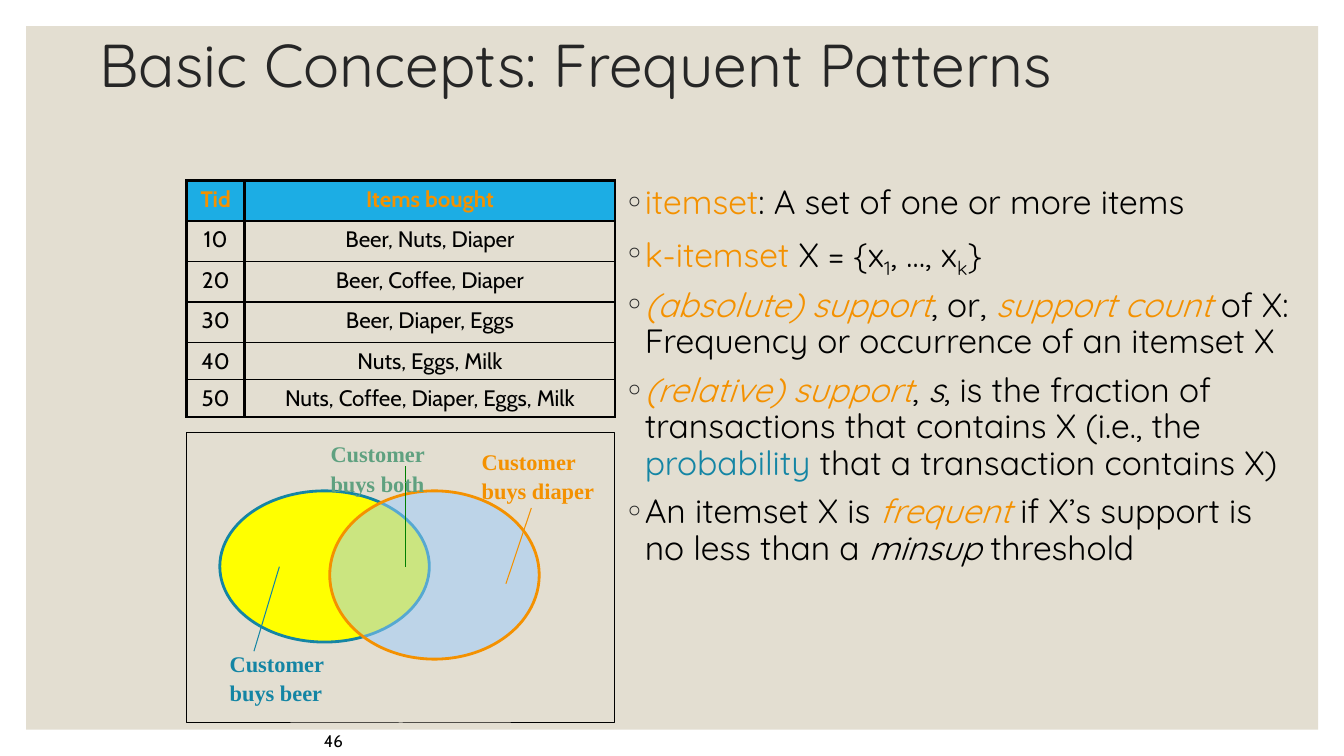
import pptx
import pptx.dml.color
import pptx.enum.shapes
import pptx.enum.text
import pptx.oxml
import pptx.oxml.ns
import pptx.util
from pptx.util import Cm

ALIGN = pptx.enum.text.PP_ALIGN
ANCHOR = pptx.enum.text.MSO_ANCHOR
SHAPE = pptx.enum.shapes.MSO_SHAPE
STRAIGHT = pptx.enum.shapes.MSO_CONNECTOR.STRAIGHT
BLACK, ORANGE, TEAL = "000000", "F49100", "1485A4"

KEY = {"color": ORANGE}
KEY_ITALIC = {"color": ORANGE, "italic": True}
ITALIC = {"italic": True}
SUB = {"baseline": -25000}
DEFINITIONS = [
    [("itemset", KEY), (": A set of one or more items", {})],
    [("k-itemset", KEY), (" X = {x", {}), ("1", SUB), (", …, x", {}),
     ("k", SUB), ("}", {})],
    [("(absolute) support", KEY_ITALIC), (", or, ", {}),
     ("support count", KEY_ITALIC),
     (" of X: Frequency or occurrence of an itemset X", {})],
    [("(relative) support", KEY_ITALIC), (", ", {}), ("s", ITALIC),
     (", is the fraction of transactions that contains X (i.e., the ", {}),
     ("probability", {"color": TEAL}),
     (" that a transaction contains X)", {})],
    [("An itemset X is ", {}), ("frequent", KEY_ITALIC),
     (" if X’s support is no less than a ", {}), ("minsup", ITALIC),
     (" threshold", {})],
]
TRANSACTIONS = [
    ("Tid", "Items bought"),
    ("10", "Beer, Nuts, Diaper"),
    ("20", "Beer, Coffee, Diaper"),
    ("30", "Beer, Diaper, Eggs"),
    ("40", "Nuts, Eggs, Milk"),
    ("50", "Nuts, Coffee, Diaper, Eggs, Milk"),
]


def rgb(color):
    return pptx.dml.color.RGBColor.from_string(color)


def assign(target, values):
    for name, value in values.items():
        setattr(target, name, value)


def add_span(para, text, font, size, color=BLACK, baseline=None, **style):
    span = para.add_run()
    span.text = text
    assign(span.font, {"name": font, "size": pptx.util.Pt(size), **style})
    span.font.color.rgb = rgb(color)
    if baseline:
        span.font._element.set("baseline", str(baseline))


def add_text(page, box, paragraphs, font, size, frame=None, layout=None, **style):
    """Add a text box; each paragraph is a list of (text, style) spans."""
    text_frame = page.shapes.add_textbox(*map(Cm, box)).text_frame
    assign(text_frame, {"word_wrap": True, **(frame or {})})
    for index, spans in enumerate(paragraphs):
        para = text_frame.add_paragraph() if index else text_frame.paragraphs[0]
        assign(para, layout or {})
        for text, own in spans:
            add_span(para, text, font, size, **{**style, **own})
    return text_frame


def add_outline(page, kind, box, fill=None, line=None, width=0.75, alpha=None):
    shape = page.shapes.add_shape(kind, *map(Cm, box))
    shape.shadow.inherit = False
    if fill:
        shape.fill.solid()
        shape.fill.fore_color.rgb = rgb(fill)
    else:
        shape.fill.background()
    if alpha:
        color = shape._element.spPr.find(".//" + pptx.oxml.ns.qn("a:srgbClr"))
        color.append(pptx.oxml.parse_xml(
            f'<a:alpha {pptx.oxml.ns.nsdecls("a")} val="{alpha * 1000}"/>'))
    if line:
        shape.line.color.rgb = rgb(line)
        shape.line.width = pptx.util.Pt(width)
    else:
        shape.line.fill.background()


def add_pointer(page, start, end, color):
    pointer = page.shapes.add_connector(STRAIGHT, *map(Cm, start + end))
    pointer.line.color.rgb = rgb(color)
    pointer.line.width = pptx.util.Pt(0.75)
    pointer._element.spPr.append(pptx.oxml.parse_xml(
        f'<a:effectLst {pptx.oxml.ns.nsdecls("a")}/>'))


def set_borders(cell, widths):
    """Set the left, right, top and bottom border widths, in points."""
    properties = cell._tc.get_or_add_tcPr()
    for index, (side, width) in enumerate(zip("LRTB", widths)):
        properties.insert(index, pptx.oxml.parse_xml(
            f'<a:ln{side} {pptx.oxml.ns.nsdecls("a")} w="{int(width * 12700)}">'
            f'<a:solidFill><a:srgbClr val="{BLACK}"/></a:solidFill></a:ln{side}>'))


def add_transactions(page, box):
    last = len(TRANSACTIONS) - 1
    table = page.shapes.add_table(last + 1, 2, *map(Cm, box)).table
    assign(table, {"first_row": False, "horz_banding": False})
    id_width = 1.47
    for column, width in zip(table.columns, (id_width, box[2] - id_width)):
        column.width = Cm(width)
    for number, (row, texts) in enumerate(zip(table.rows, TRANSACTIONS)):
        row.height = Cm(1.02 if number < 4 else 0.94)
        header = number == 0
        top = 2.25 if number <= 1 else 1
        bottom = 2.25 if number in (0, last) else 1
        for cell, text in zip(row.cells, texts):
            if header:
                cell.fill.solid()
                cell.fill.fore_color.rgb = rgb("1CADE4")
            else:
                cell.fill.background()
            para = cell.text_frame.paragraphs[0]
            para.alignment = ALIGN.CENTER
            add_span(para, text, "Cabin", 16, ORANGE if header else BLACK,
                     bold=header)
            set_borders(cell, (2.25, 2.25, top, bottom))


def add_venn(page, box):
    left, top, width, height = box

    def at(x, y, *size):
        return (left + x, top + y, *size)

    add_outline(page, SHAPE.OVAL, at(0.84, 1.47, 5.28, 3.81), "FFFF00", TEAL, 2)
    add_outline(page, SHAPE.OVAL, at(3.61, 1.47, 5.28, 4.24), "99CCFF", ORANGE, 2,
                alpha=50)
    for start, end, color in [((2.34, 3.38), (1.7, 5.51), TEAL),
                              ((8.05, 3.81), (8.69, 1.9), ORANGE),
                              ((5.51, 3.38), (5.51, 0.84), "008000")]:
        add_pointer(page, at(*start), at(*end), color)
    for x, y, label_width, item, color in [(7.19, 0.2, 3.38, "diaper", ORANGE),
                                           (3.38, 0, 2.9, "both", "5FA180"),
                                           (0.84, 5.28, 2.9, "beer", TEAL)]:
        add_text(page, at(x, y, label_width, 1.75),
                 [[("Customer", {})], [(f"buys {item}", {})]],
                 "Times New Roman", 16, layout={"line_spacing": 1.1},
                 color=color, bold=True)
    add_outline(page, SHAPE.RECTANGLE, box, line=BLACK)


def add_definitions(page, box):
    layout = {"line_spacing": 0.9, "space_before": pptx.util.Pt(9)}
    text_frame = add_text(page, box, DEFINITIONS, "Quicksand", 24, layout=layout)
    for para in text_frame.paragraphs:
        properties = para._p.get_or_add_pPr()
        indent = Cm(0.51)
        properties.set("marL", str(indent))
        properties.set("indent", str(-indent))
        space = pptx.oxml.ns.nsdecls("a")
        for bullet in (
                f'<a:buClr {space}><a:srgbClr val="262626"/></a:buClr>',
                f'<a:buFont {space} typeface="Quicksand"/>',
                f'<a:buChar {space} char="◦"/>'):
            properties.append(pptx.oxml.parse_xml(bullet))


def main():
    deck = pptx.Presentation()
    assign(deck, {"slide_width": Cm(33.87), "slide_height": Cm(19.05)})
    page = deck.slides.add_slide(deck.slide_layouts[6])
    add_outline(page, SHAPE.RECTANGLE, (0.66, 0.66, 32.56, 17.73), "E3DED1")
    add_text(page, (2.26, 0.66, 27.51, 2.11),
             [[("Basic Concepts: Frequent Patterns", {})]], "Quicksand", 43.2,
             frame={"vertical_anchor": ANCHOR.MIDDLE},
             layout={"line_spacing": 0.9}, color="262626")
    add_definitions(page, (15.49, 4.55, 17.4, 13.77))
    add_text(page, (2.9, 18.29, 5.99, 0.76), [[("46", {})]], "Cabin", 12,
             frame={"vertical_anchor": ANCHOR.BOTTOM},
             layout={"alignment": ALIGN.RIGHT})
    add_venn(page, (4.7, 10.9, 10.8, 7.32))
    add_transactions(page, (4.7, 4.55, 10.8, 5.92))
    deck.save("out.pptx")


if __name__ == "__main__":
    main()
